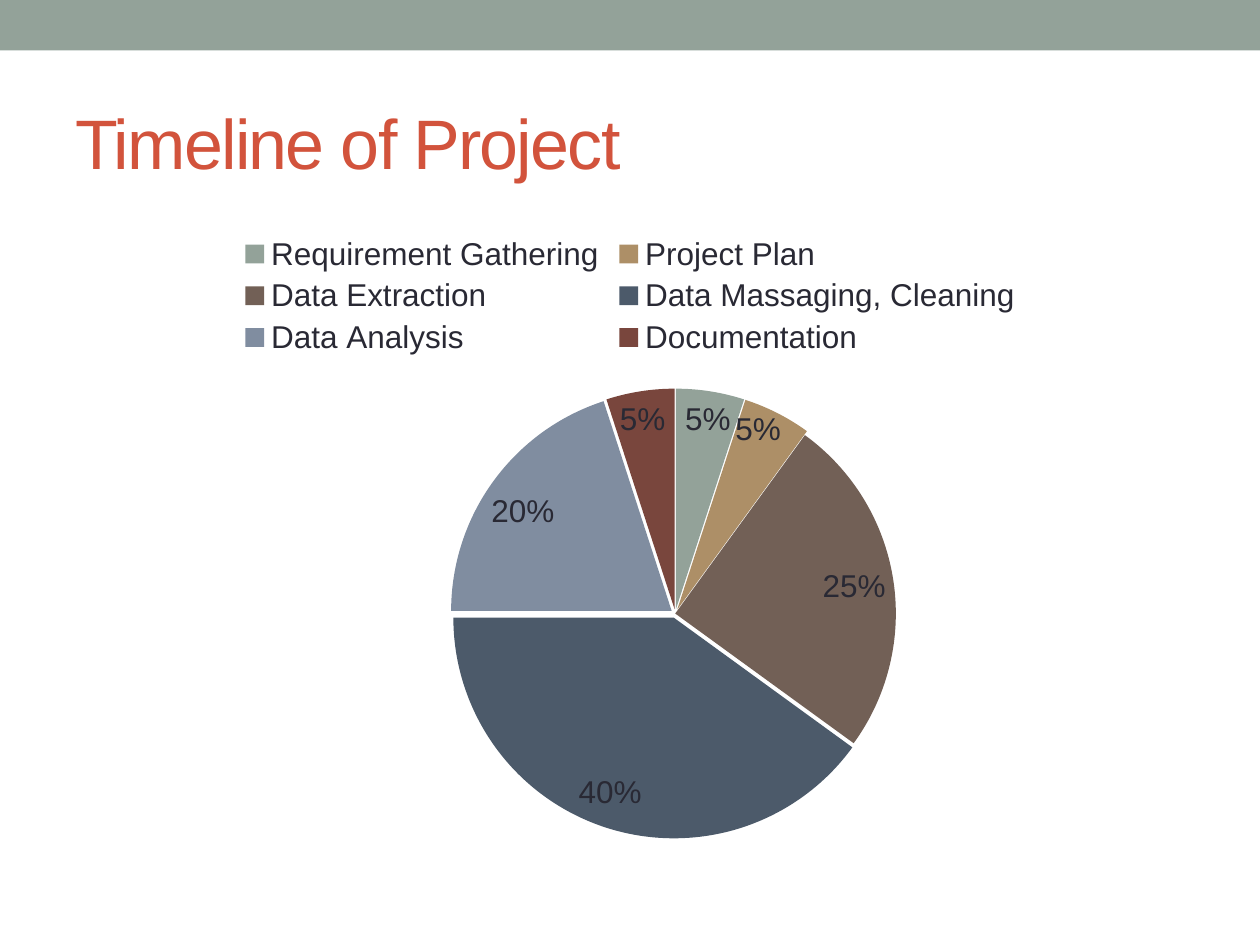
"""Build a project timeline slide with a pie chart of effort per phase."""
from dataclasses import dataclass

from lxml import etree
from pptx import Presentation
from pptx import util as u
from pptx.chart import data as cd
from pptx.dml.color import RGBColor
from pptx.enum import chart as ch, shapes, text
from pptx.oxml import ns


@dataclass(frozen=True)
class Theme:
    font: str = "Arial"
    band: str = "93A299"
    title: str = "D2533C"
    body: str = "292934"
    title_size: int = 40
    body_size: int = 18


theme = Theme()
phases = [
    ("Requirement Gathering", 5, "93A299"),
    ("Project Plan", 5, "AD8F67"),
    ("Data Extraction", 25, "726056"),
    ("Data Massaging, Cleaning", 40, "4C5A6A"),
    ("Data Analysis", 20, "808DA0"),
    ("Documentation", 5, "79463D"),
]


def add_text(tf, content, *, size, color, spacing=0):
    r = tf.paragraphs[0].add_run()
    r.text = content
    r.font.name = theme.font
    r.font.size = u.Pt(size)
    r.font.color.rgb = RGBColor.from_string(color)
    r.font._element.set("spc", str(spacing * 100))


def set_layout(parent, index, **settings):
    for old in parent.findall(ns.qn("c:layout")):
        parent.remove(old)
    layout = etree.Element(ns.qn("c:layout"))
    manual = etree.SubElement(layout, ns.qn("c:manualLayout"))
    for tag, val in settings.items():
        etree.SubElement(manual, ns.qn(f"c:{tag}"), val=str(val))
    parent.insert(index, layout)


prs = Presentation()
prs.slide_width, prs.slide_height = u.Cm(25.4), u.Cm(19.05)
s = prs.slides.add_slide(prs.slide_layouts[6])

sp = s.shapes.add_shape(shapes.MSO_SHAPE.RECTANGLE, 0, 0, prs.slide_width, u.Cm(1.02))
sp.shadow.inherit = False
sp.fill.solid()
sp.fill.fore_color.rgb = RGBColor.from_string(theme.band)
sp.line.fill.background()

left, width = u.Cm(1.27), u.Cm(22.86)
tf = s.shapes.add_textbox(left, u.Cm(1.48), width, u.Cm(2.74)).text_frame
tf.word_wrap = True
tf.vertical_anchor = text.MSO_ANCHOR.MIDDLE
add_text(tf, "Timeline of Project", size=theme.title_size, color=theme.title, spacing=-1)

data = cd.CategoryChartData()
data.categories = [name for name, _, _ in phases]
data.add_series("Series 1", [share for _, share, _ in phases])
chart = s.shapes.add_chart(
    ch.XL_CHART_TYPE.PIE, left, u.Cm(4.45), width, u.Cm(13.54), data
).chart
chart.has_title = False
chart.font.name = theme.font
chart.font.size = u.Pt(theme.body_size)
chart.font.color.rgb = RGBColor.from_string(theme.body)
chart.has_legend = True
chart.legend.position = ch.XL_LEGEND_POSITION.TOP
chart.legend.include_in_layout = False
area = chart._chartSpace.find(".//" + ns.qn("c:plotArea"))
set_layout(area, 0, layoutTarget="inner", xMode="edge", yMode="edge",
           x=0.08, y=0.25, w=0.92, h=0.67)

plot = chart.plots[0]
plot.vary_by_categories = True
series = plot.series[0]
for i, (_, _, color) in enumerate(phases):
    fill = series.points[i].format.fill
    fill.solid()
    fill.fore_color.rgb = RGBColor.from_string(color)

slices = series._element.findall(ns.qn("c:dPt"))
slices[0].addprevious(etree.Element(ns.qn("c:explosion"), val="2"))
extraction = slices[2].find(ns.qn("c:spPr"))
extraction.addprevious(etree.Element(ns.qn("c:explosion"), val="0"))

labels = series.data_labels
labels.show_percentage = True
labels.show_value = False
labels.number_format = "0%"
labels.number_format_is_linked = False
labels.position = ch.XL_LABEL_POSITION.BEST_FIT
for leader in labels._element.findall(ns.qn("c:showLeaderLines")):
    leader.set("val", "0")

series.points[1].data_label.position = ch.XL_LABEL_POSITION.BEST_FIT
plan_label = labels._element.find(ns.qn("c:dLbl"))
plan_label.find(ns.qn("c:showVal")).set("val", "0")
plan_label.find(ns.qn("c:showPercent")).set("val", "1")
set_layout(plan_label, 1, x=-0.04, y=0.06)

prs.save("out.pptx")
